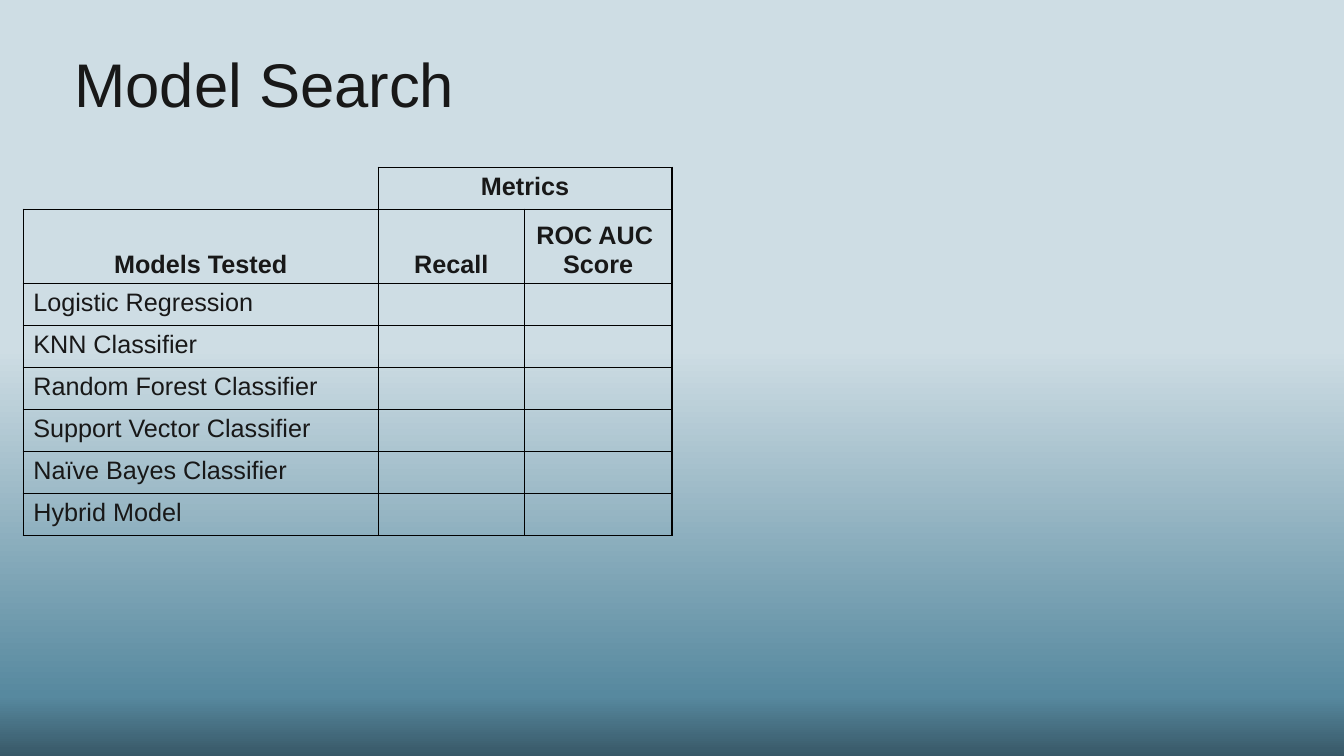
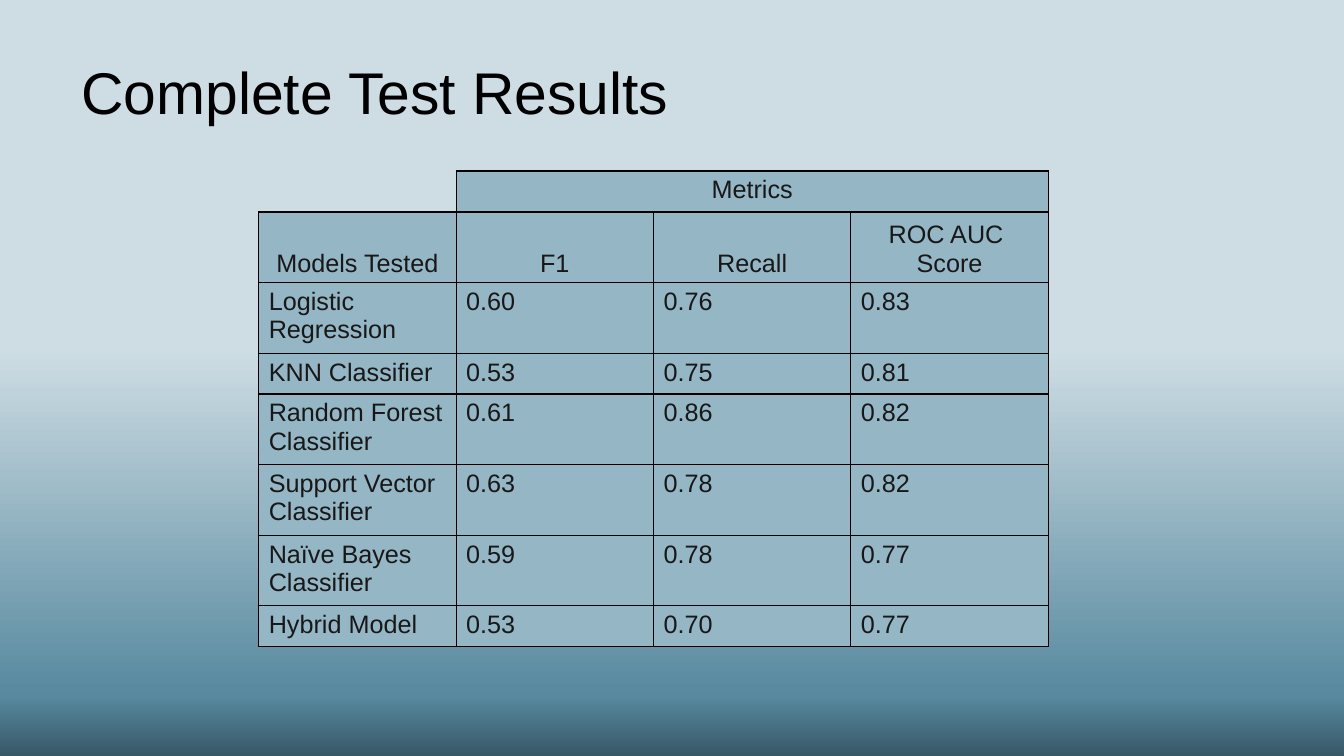
from lxml.etree import SubElement
from pptx import Presentation
from pptx.dml.color import RGBColor
from pptx.enum.text import MSO_ANCHOR, PP_ALIGN
from pptx.oxml import parse_xml
from pptx.oxml.ns import nsdecls, qn
from pptx.util import Pt

INK, BLACK, PANEL = "181818", "000000", "95B6C5"
BACKDROP = [(0, "385867"), (8, "57899F"), (54, "CEDDE4")]
MODELS = ["Logistic Regression", "KNN Classifier", "Random Forest Classifier",
          "Support Vector Classifier", "Naïve Bayes Classifier", "Hybrid Model"]
SCORES = [["0.60", "0.76", "0.83"], ["0.53", "0.75", "0.81"],
          ["0.61", "0.86", "0.82"], ["0.63", "0.78", "0.82"],
          ["0.59", "0.78", "0.77"], ["0.53", "0.70", "0.77"]]


def color(value):
    return RGBColor.from_string(value)


class Slides:
    """Hold the shared style and the current slide."""

    def __init__(self):
        self.deck = Presentation()
        self.deck.slide_width, self.deck.slide_height = Pt(960), Pt(540)
        self.set_backdrop()

    def set_backdrop(self):
        fill = self.deck.slide_master.background.fill
        fill.gradient()
        fill.gradient_angle = 90
        stops = self.deck.slide_master.element.find(".//" + qn("a:gsLst"))
        for stop in list(stops):
            stops.remove(stop)
        for position, value in BACKDROP:
            stops.append(parse_xml(
                f'<a:gs {nsdecls("a")} pos="{position * 1000}">'
                f'<a:srgbClr val="{value}"/></a:gs>'))

    def new_page(self):
        self.page = self.deck.slides.add_slide(self.deck.slide_layouts[6])

    def add_text(self, frame, text, size=18, ink=INK, bold=False, align=PP_ALIGN.LEFT):
        style = {"name": "Arial", "size": Pt(size), "bold": bold}
        for index, line in enumerate(text.split("\n")):
            para = frame.add_paragraph() if index else frame.paragraphs[0]
            para.alignment = align
            span = para.add_run()
            span.text = line
            for name, value in style.items():
                setattr(span.font, name, value)
            span.font.color.rgb = color(ink)

    def title(self, text, left, top, width, height, size, ink):
        box = self.page.shapes.add_textbox(Pt(left), Pt(top), Pt(width), Pt(height))
        box.text_frame.word_wrap = True
        self.add_text(box.text_frame, text, size, ink)

    def border(self, cell, sides):
        properties = cell._tc.get_or_add_tcPr()
        for index, side in enumerate("LRTB"):
            line = SubElement(properties, qn("a:ln" + side), w=str(Pt(1)))
            properties.insert(index, line)
            if side in sides:
                solid = SubElement(line, qn("a:solidFill"))
                SubElement(solid, qn("a:srgbClr"), val=BLACK)
            else:
                SubElement(line, qn("a:noFill"))

    def metrics_table(self, left, top, widths, heights, metrics, scores,
                      fill=None, bold=False):
        rows = [["", "Metrics"] + [""] * (len(metrics) - 1), ["Models Tested"] + metrics]
        rows += [[model] + values for model, values in zip(MODELS, scores)]
        frame = self.page.shapes.add_table(
            len(rows), len(widths), Pt(left), Pt(top), Pt(sum(widths)), Pt(sum(heights)))
        table = frame.table
        table.first_row = table.horz_banding = False
        for column, width in zip(table.columns, widths):
            column.width = Pt(width)
        for row, height in zip(table.rows, heights):
            row.height = Pt(height)
        table.cell(0, 1).merge(table.cell(0, len(metrics)))
        for r, row in enumerate(rows):
            for c, text in enumerate(row):
                cell = table.cell(r, c)
                corner = r == c == 0
                header = r < 2
                if fill and not corner:
                    cell.fill.solid()
                    cell.fill.fore_color.rgb = color(fill)
                else:
                    cell.fill.background()
                self.border(cell, "RB" if corner else "LRTB")
                if r == 1:
                    cell.vertical_anchor = MSO_ANCHOR.BOTTOM
                if text:
                    self.add_text(cell.text_frame, text, bold=bold and header,
                                  align=PP_ALIGN.CENTER if header else PP_ALIGN.LEFT)


def main():
    slides = Slides()

    slides.new_page()
    slides.title("Model Search", 46, 29.5, 433.5, 60.5, 44, INK)
    slides.metrics_table(16.6, 119.5, [253.5, 104.5, 105.5], [30, 53] + [30] * 6,
                         ["Recall", "ROC AUC \nScore"], [["", ""]] * len(MODELS),
                         bold=True)

    slides.new_page()
    slides.title("Complete Test Results", 51, 36, 741, 79, 42, BLACK)
    one_line, two_lines = 29.2, 47.6
    heights = [one_line, two_lines, two_lines, one_line] + [two_lines] * 3 + [one_line]
    slides.metrics_table(184.8, 122.2, [141] * 4, heights,
                         ["F1", "Recall", "ROC AUC \nScore"], SCORES, fill=PANEL)

    slides.deck.save("out.pptx")


if __name__ == "__main__":
    main()
